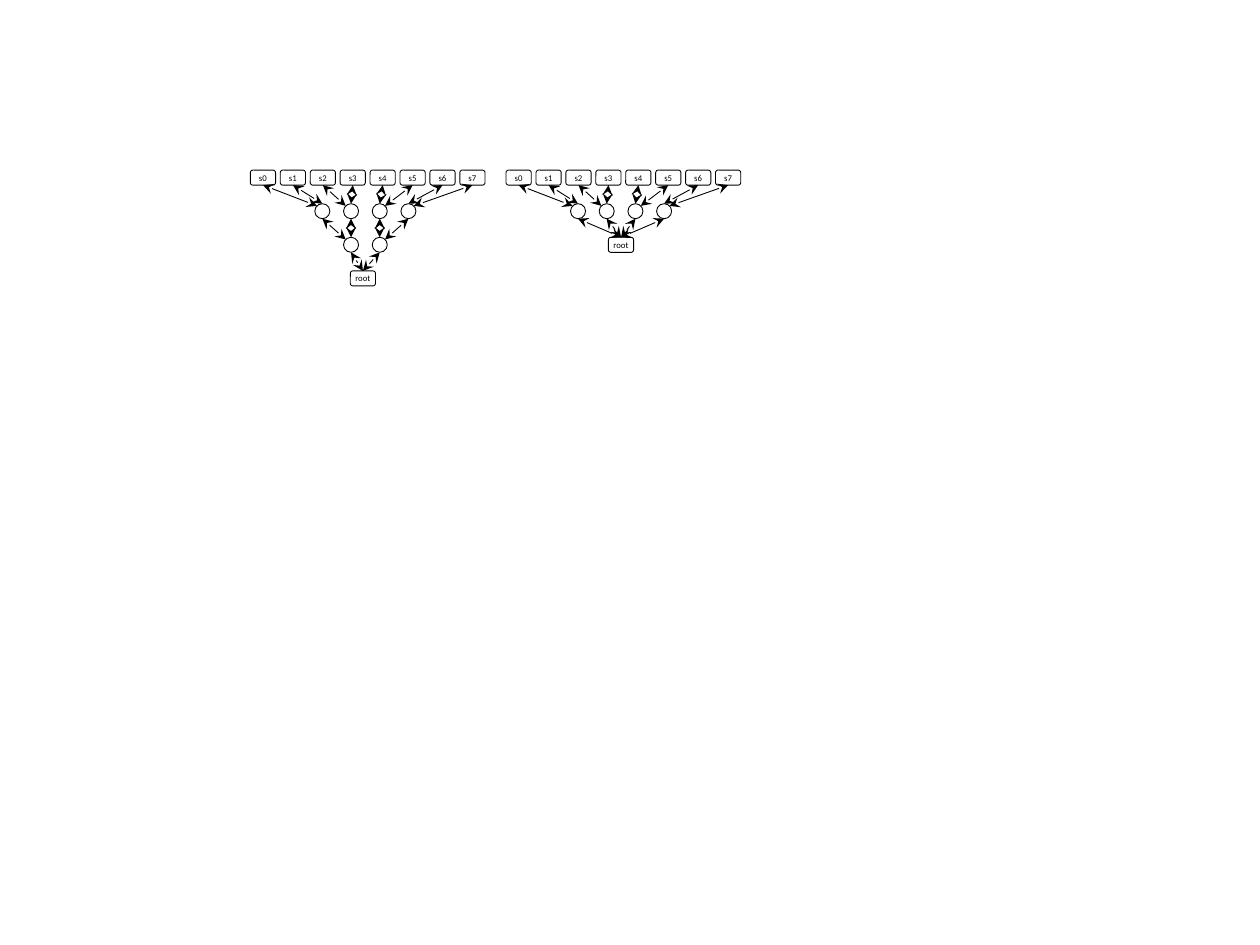
from math import sqrt

from lxml import etree
from pptx import Presentation
from pptx import util as u
from pptx.dml.color import RGBColor
from pptx.enum import shapes, text
from pptx.oxml.ns import qn

SERVERS = ["s0", "s1", "s2", "s3", "s4", "s5", "s6", "s7"]

# Each edge: server or upper circle -> (lower circle column, site it meets).
SERVER_EDGES = [(0, "top left"), (0, "top"), (1, "top left"), (1, "top"),
                (2, "top"), (2, "top right"), (3, "top"), (3, "top right")]
INNER_EDGES = [(1, "top left"), (1, "top"), (2, "top"), (2, "top right")]

# Circle columns per level, and the edges that lead down between levels.
TREES = [
    {"left": 143.1, "root_offset": 57.1,
     "levels": [[0, 1, 2, 3], [1, 2]], "edges": [INNER_EDGES]},
    {"left": 289.2, "root_offset": 58.5,
     "levels": [[0, 1, 2, 3]], "edges": []},
]

THEME = {"ink": RGBColor(0, 0, 0), "paper": RGBColor(255, 255, 255),
         "font": "Calibri", "size": 5, "line": 0.5}

TOP, ROW_PITCH = 97.2, 19.2
BOX_WIDTH, NODE_HEIGHT, BOX_PITCH = 14.4, 8.6, 17.1
CIRCLE_OFFSET, CIRCLE_PITCH = 36.8, 16.4

# Where a site lies, as fractions of the node's width and height.
NEAR = (1 - 1 / sqrt(2)) / 2
SITES = {"top": (0.5, 0), "bottom": (0.5, 1),
         "top left": (NEAR, NEAR), "top right": (1 - NEAR, NEAR)}


def add_node(slide, kind, left, row, width, label=None):
    """Draw a node and return its left, top and width in points."""
    top = TOP + row * ROW_PITCH
    shape = slide.shapes.add_shape(
        kind, u.Pt(left), u.Pt(top), u.Pt(width), u.Pt(NODE_HEIGHT))
    shape.shadow.inherit = False
    shape.fill.solid()
    shape.fill.fore_color.rgb = THEME["paper"]
    shape.line.color.rgb = THEME["ink"]
    shape.line.width = u.Pt(THEME["line"])
    if label:
        add_label(shape.text_frame, label)
    return left, top, width


def add_label(frame, label):
    frame.word_wrap = False
    frame.vertical_anchor = text.MSO_ANCHOR.MIDDLE
    frame.margin_left = frame.margin_right = 0
    frame.margin_top = frame.margin_bottom = 0
    paragraph = frame.paragraphs[0]
    paragraph.alignment = text.PP_ALIGN.CENTER
    run = paragraph.add_run()
    run.text = label
    run.font.name = THEME["font"]
    run.font.size = u.Pt(THEME["size"])
    run.font.color.rgb = THEME["ink"]


def add_box(slide, left, row, label):
    return add_node(slide, shapes.MSO_SHAPE.ROUNDED_RECTANGLE,
                    left, row, BOX_WIDTH, label)


def site_position(node, site):
    left, top, width = node
    across, down = SITES[site]
    return u.Pt(left + across * width), u.Pt(top + down * NODE_HEIGHT)


def add_edge(slide, upper, lower, site="top"):
    """Join the bottom of one node to a site of another, with two arrowheads."""
    connector = slide.shapes.add_connector(
        shapes.MSO_CONNECTOR.STRAIGHT,
        *site_position(upper, "bottom"), *site_position(lower, site))
    connector.line.color.rgb = THEME["ink"]
    connector.line.width = u.Pt(THEME["line"])
    line = connector.line._get_or_add_ln()
    for end in ("a:headEnd", "a:tailEnd"):
        etree.SubElement(line, qn(end), type="stealth")
    etree.SubElement(connector._element.spPr, qn("a:effectLst"))


def add_tree(slide, tree):
    left, levels = tree["left"], tree["levels"]
    servers = [add_box(slide, left + i * BOX_PITCH, 0, label)
               for i, label in enumerate(SERVERS)]
    root = add_box(slide, left + tree["root_offset"], len(levels) + 1, "root")
    circles = [
        {column: add_node(slide, shapes.MSO_SHAPE.OVAL,
                          left + CIRCLE_OFFSET + column * CIRCLE_PITCH,
                          row, NODE_HEIGHT)
         for column in columns}
        for row, columns in enumerate(levels, start=1)]

    uppers = [servers] + [list(level.values()) for level in circles]
    all_edges = [SERVER_EDGES] + tree["edges"]
    for upper_nodes, lower_nodes, edges in zip(uppers, circles, all_edges):
        for upper, (column, site) in zip(upper_nodes, edges):
            add_edge(slide, upper, lower_nodes[column], site)
    for circle in uppers[-1]:
        add_edge(slide, circle, root)


def main():
    presentation = Presentation()
    presentation.slide_width, presentation.slide_height = u.Pt(720), u.Pt(540)
    slide = presentation.slides.add_slide(presentation.slide_layouts[6])
    for tree in TREES:
        add_tree(slide, tree)
    presentation.save("out.pptx")


if __name__ == "__main__":
    main()
